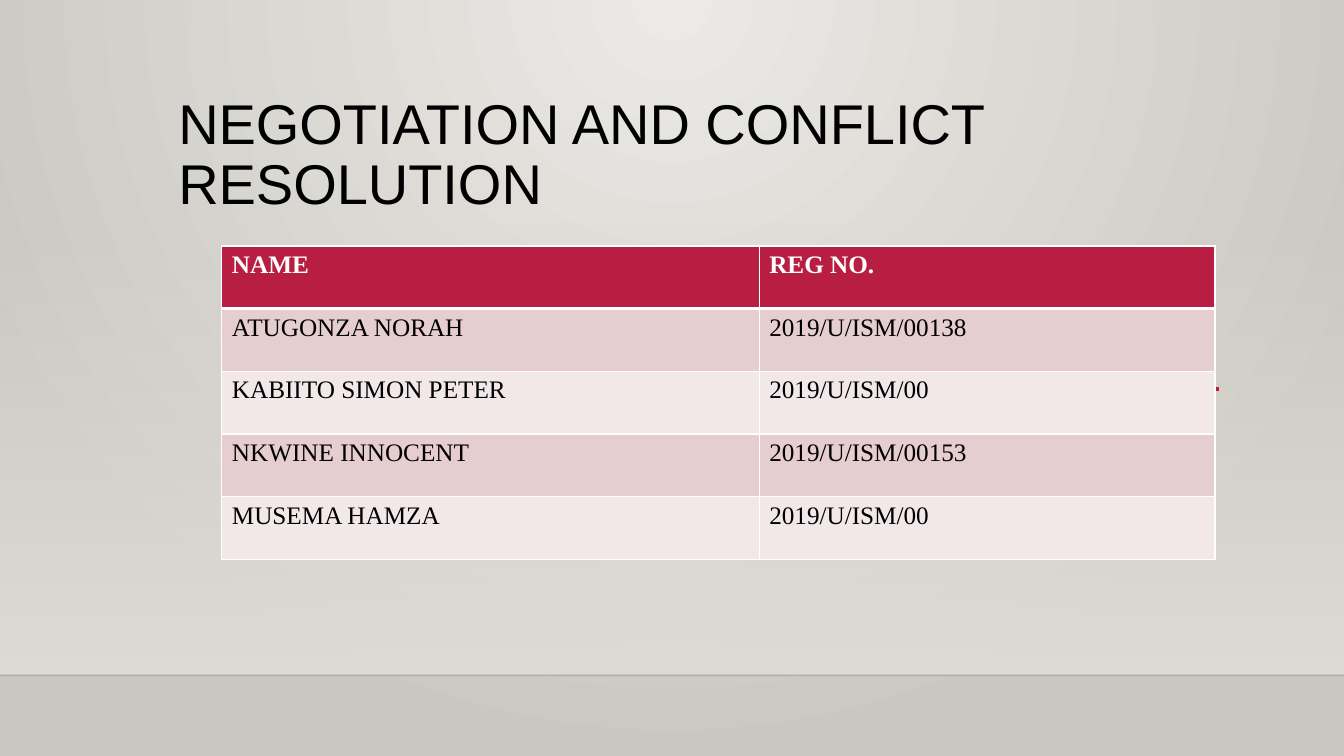
from pptx import Presentation
from pptx.dml.color import RGBColor
from pptx.enum.shapes import MSO_CONNECTOR, MSO_SHAPE
from pptx.enum.text import MSO_ANCHOR
from pptx.oxml.ns import qn
from pptx.util import Inches, Pt
from lxml.etree import SubElement

COLORS = {
    "glow": "ECEAE7", "edge": "CAC7C1", "wall": "DFDBD5", "floor_line": "000001",
    "accent": "B71E42", "band_dark": "E6CDCF", "band_light": "F3E8E9",
    "white": "FFFFFF", "black": "000000",
}
MEMBERS = [
    ("NAME", "REG NO."),
    ("ATUGONZA NORAH", "2019/U/ISM/00138"),
    ("KABIITO SIMON PETER", "2019/U/ISM/00"),
    ("NKWINE INNOCENT", "2019/U/ISM/00153"),
    ("MUSEMA HAMZA", "2019/U/ISM/00"),
]


def rgb(name):
    return RGBColor.from_string(COLORS[name])


def set_gradient(fill, first, last):
    fill.gradient()
    for stop, color, position in zip(fill.gradient_stops, (first, last), (0, 1)):
        stop.color.rgb = rgb(color)
        stop.position = position


def set_alpha(color_element, percent):
    SubElement(color_element, qn("a:alpha"), val=str(percent * 1000))


def add_run(paragraph, text, font, size, color, bold=False):
    run = paragraph.add_run()
    run.text = text
    run.font.name, run.font.size, run.font.bold = font, Pt(size), bold
    run.font.color.rgb = rgb(color)


def add_rule(slide, left, top, width, color, weight):
    rule = slide.shapes.add_connector(
        MSO_CONNECTOR.STRAIGHT, Inches(left), Inches(top),
        Inches(left + width), Inches(top))
    rule.line.color.rgb = rgb(color)
    rule.line.width = Pt(weight)
    SubElement(rule.element.spPr, qn("a:effectLst"))
    return rule


def add_backdrop(slide, left, top, width, height):
    # Radial glow from the top centre
    set_gradient(slide.background.fill, "glow", "edge")
    glow = slide.element.find(".//" + qn("a:gradFill"))
    glow.remove(glow.find(qn("a:lin")))
    circle = SubElement(glow, qn("a:path"), path="circle")
    SubElement(circle, qn("a:fillToRect"), l="43000", t="0", r="43000", b="100000")

    # Wall fading in down to the floor
    wall = slide.shapes.add_shape(
        MSO_SHAPE.RECTANGLE, Inches(left), Inches(top), Inches(width), Inches(height))
    wall.shadow.inherit = False
    wall.line.fill.background()
    set_gradient(wall.fill, "wall", "wall")
    wall.fill.gradient_angle = 270
    set_alpha(wall.element.spPr.find(".//" + qn("a:srgbClr")), 0)

    # Floor edge
    floor_line = add_rule(slide, left, top + height, width, "floor_line", 1)
    set_alpha(floor_line.element.spPr.find(".//" + qn("a:srgbClr")), 20)


def add_title(slide, left, top, width, height):
    title = slide.shapes.add_textbox(
        Inches(left), Inches(top), Inches(width), Inches(height))
    frame = title.text_frame
    frame.word_wrap = True
    frame.vertical_anchor = MSO_ANCHOR.BOTTOM
    frame.margin_bottom = 0
    heading = frame.paragraphs[0]
    heading.line_spacing = 0.9
    add_run(heading, "NEGOTIATION AND CONFLICT RESOLUTION", "Arial", 40, "black")


def set_borders(cell, top, bottom):
    for side, weight in (("L", 1), ("R", 1), ("T", top), ("B", bottom)):
        border = SubElement(cell._tc.get_or_add_tcPr(), qn("a:ln" + side),
                            w=str(Pt(weight)))
        solid = SubElement(border, qn("a:solidFill"))
        SubElement(solid, qn("a:srgbClr"), val=COLORS["white"])


def add_members(slide, left, top, width, height):
    members = slide.shapes.add_table(
        len(MEMBERS), 2, Inches(left), Inches(top), Inches(width), Inches(height)).table
    name_width = 5.33
    members.columns[0].width = Inches(name_width)
    members.columns[1].width = Inches(width - name_width)
    for row, entry in enumerate(MEMBERS):
        header = row == 0
        band = "accent" if header else "band_dark" if row % 2 else "band_light"
        for column, text in enumerate(entry):
            cell = members.cell(row, column)
            set_borders(cell, 3 if row == 1 else 1, 3 if header else 1)
            cell.fill.solid()
            cell.fill.fore_color.rgb = rgb(band)
            add_run(cell.text_frame.paragraphs[0], text, "Times New Roman", 18,
                    "white" if header else "black", header)


presentation = Presentation()
presentation.slide_width = Inches(13.33)
presentation.slide_height = Inches(7.5)
cover = presentation.slides.add_slide(presentation.slide_layouts[6])
add_backdrop(cover, 0, 2.21, 13.33, 4.49)
add_rule(cover, 2.64, 3.86, 9.45, "accent", 2.5)
add_title(cover, 1.67, 0.43, 10, 1.72)
add_members(cover, 2.2, 2.44, 9.85, 3.11)
presentation.save("out.pptx")
